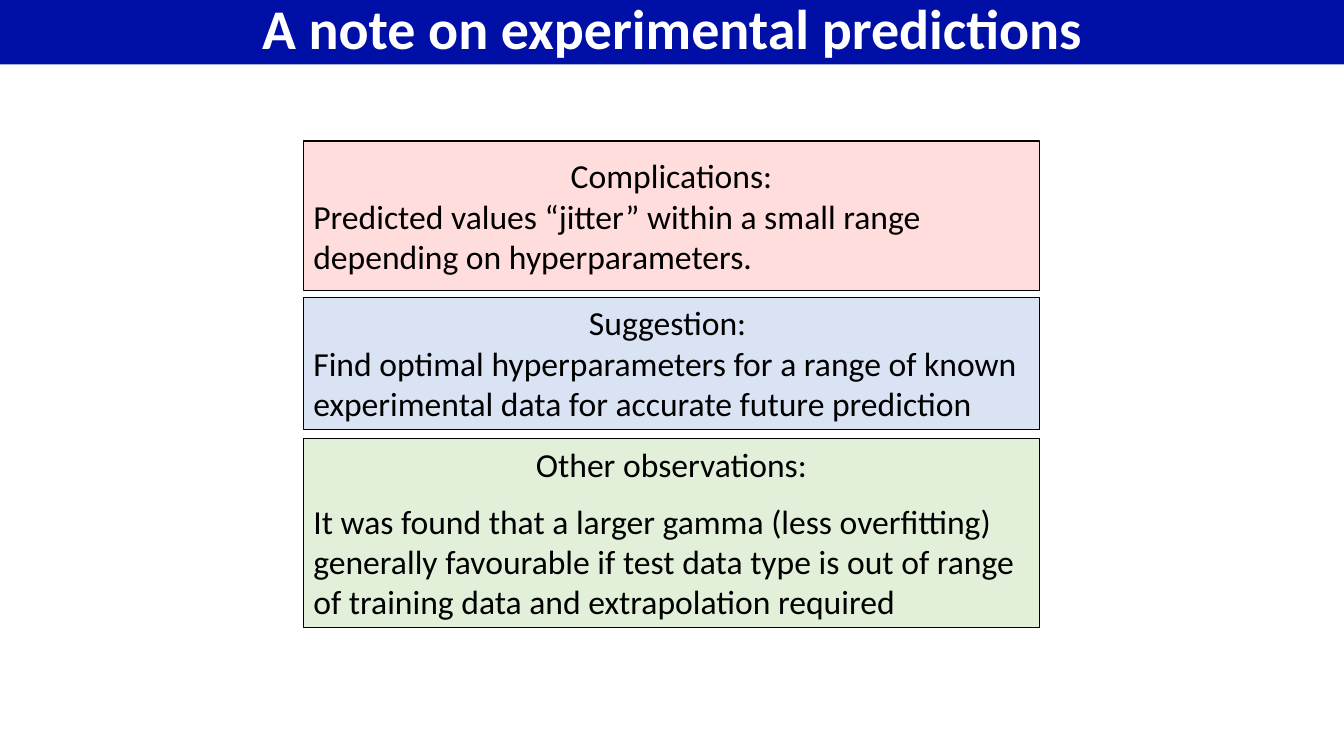
from dataclasses import dataclass

import pptx
import pptx.dml.color
import pptx.enum.shapes
import pptx.enum.text
import pptx.util
from pptx.util import Inches

ALIGN = pptx.enum.text.PP_ALIGN
ANCHOR = pptx.enum.text.MSO_ANCHOR
AUTO_SIZE = pptx.enum.text.MSO_AUTO_SIZE


@dataclass(frozen=True)
class Theme:
    font: str = "Calibri"
    title_size: int = 40
    body_size: int = 24
    banner: str = "000FA5"
    title_text: str = "FFFFFF"
    ink: str = "000000"
    complications: str = "FFDDDD"
    suggestion: str = "DAE3F3"
    observations: str = "E2F0D9"


THEME = Theme()
SLIDE_WIDTH = 13.33
NOTE_LEFT, NOTE_WIDTH = 3.01, 7.3


def rgb(color):
    return pptx.dml.color.RGBColor.from_string(color)


def add_panel(slide, left, top, width, height, fill, anchor):
    panel = slide.shapes.add_shape(
        pptx.enum.shapes.MSO_SHAPE.RECTANGLE,
        Inches(left), Inches(top), Inches(width), Inches(height))
    panel.shadow.inherit = False
    panel.fill.solid()
    panel.fill.fore_color.rgb = rgb(fill)
    panel.line.fill.background()
    panel.text_frame.word_wrap = True
    panel.text_frame.vertical_anchor = anchor
    return panel


def write(paragraph, text, size, color, align, bold=False):
    paragraph.alignment = align
    run = paragraph.add_run()
    run.text = text
    run.font.name = THEME.font
    run.font.size = pptx.util.Pt(size)
    run.font.bold = bold
    run.font.color.rgb = rgb(color)


def add_title_banner(slide, title):
    banner = add_panel(slide, 0, -0.01, SLIDE_WIDTH, 0.65, THEME.banner, ANCHOR.MIDDLE)
    line = banner.text_frame.paragraphs[0]
    line.line_spacing = 0.9
    write(line, title, THEME.title_size, THEME.title_text, ALIGN.CENTER, bold=True)


def add_note(slide, top, height, fill, heading, body,
             anchor=ANCHOR.TOP, border=1, spacing=0, grow=True):
    """Add an outlined box with a centred heading above left-aligned text."""
    note = add_panel(slide, NOTE_LEFT, top, NOTE_WIDTH, height, fill, anchor)
    note.line.color.rgb = rgb(THEME.ink)
    note.line.width = pptx.util.Pt(border)
    frame = note.text_frame
    if grow:
        frame.auto_size = AUTO_SIZE.SHAPE_TO_FIT_TEXT
    write(frame.paragraphs[0], heading, THEME.body_size, THEME.ink, ALIGN.CENTER)
    write(frame.add_paragraph(), body, THEME.body_size, THEME.ink, ALIGN.LEFT)
    for paragraph in frame.paragraphs:
        paragraph.space_before = paragraph.space_after = pptx.util.Pt(spacing)


def main():
    deck = pptx.Presentation()
    deck.slide_width, deck.slide_height = Inches(SLIDE_WIDTH), Inches(7.5)
    slide = deck.slides.add_slide(deck.slide_layouts[6])

    add_title_banner(slide, "A note on experimental predictions")
    add_note(slide, 1.4, 1.48, THEME.complications, "Complications:",
             "Predicted values “jitter” within a small range "
             "depending on hyperparameters.",
             anchor=ANCHOR.MIDDLE, grow=False)
    add_note(slide, 2.95, 1.31, THEME.suggestion, "Suggestion: ",
             "Find optimal hyperparameters for a range of known "
             "experimental data for accurate future prediction")
    add_note(slide, 4.35, 1.88, THEME.observations, "Other observations:",
             "It was found that a larger gamma (less overfitting) generally "
             "favourable if test data type is out of range of training data "
             "and extrapolation required",
             border=0.75, spacing=6)
    deck.save("out.pptx")


if __name__ == "__main__":
    main()
